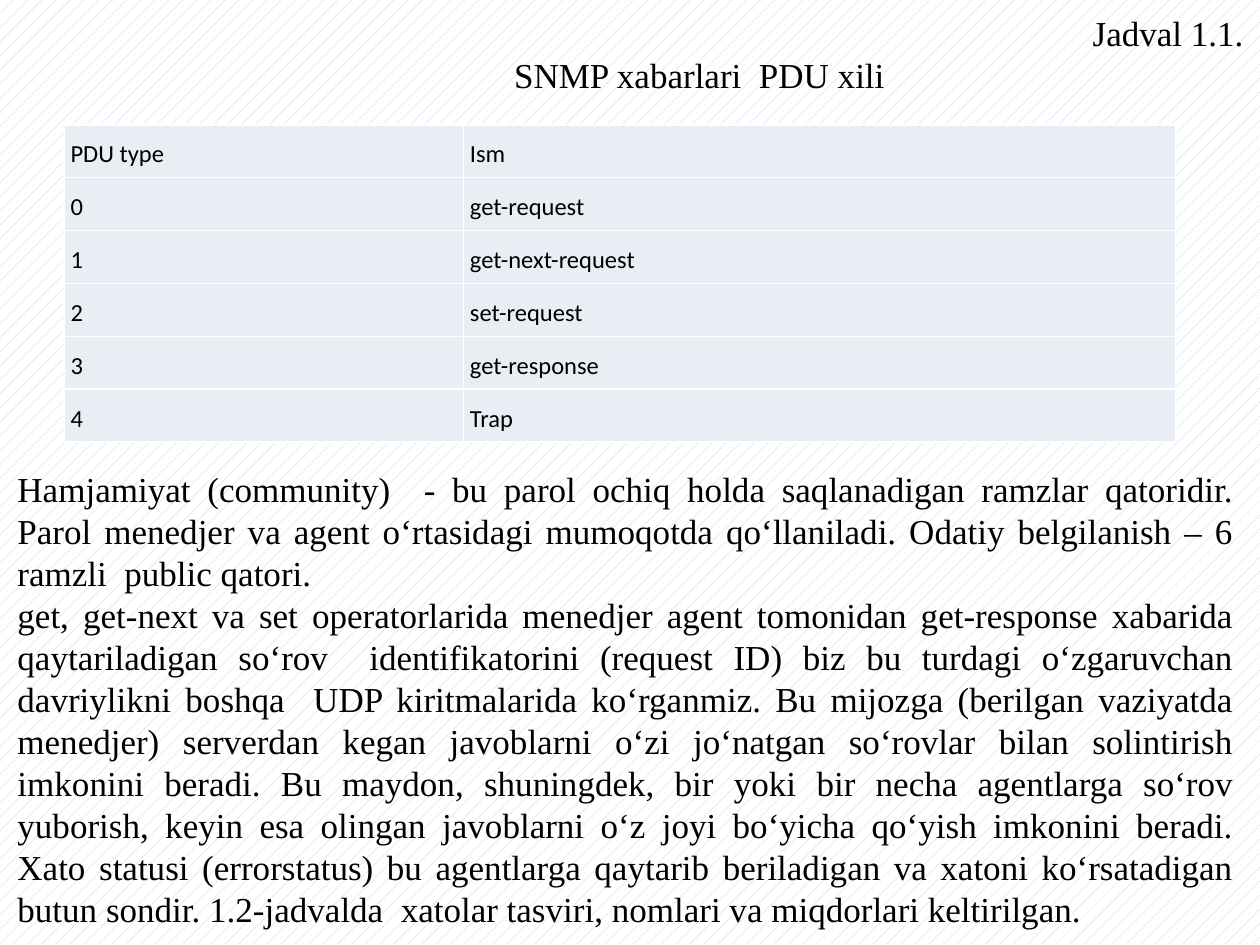
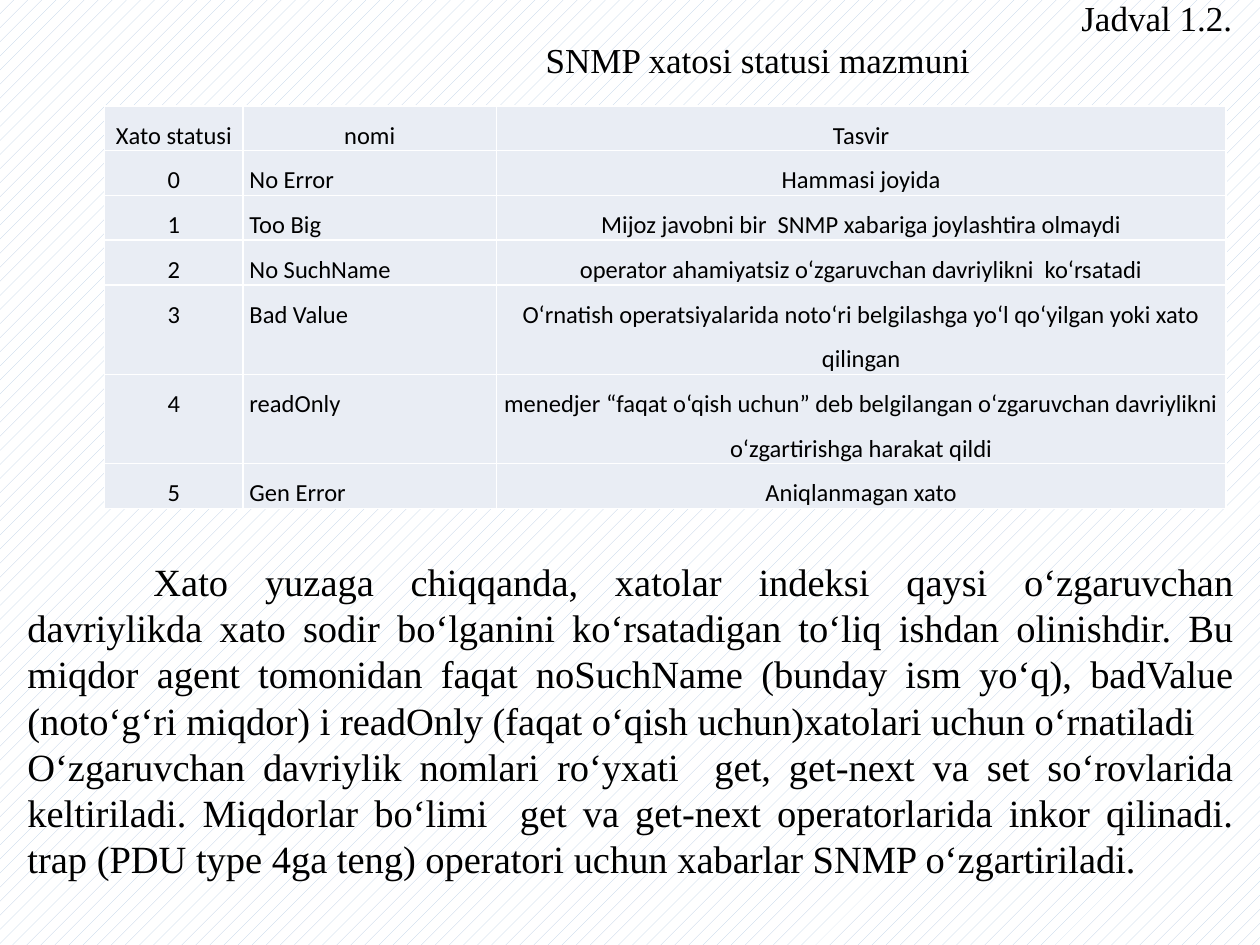
"""Two slides on SNMP: message types and error statuses."""
from dataclasses import dataclass

import pptx
import pptx.dml.color
import pptx.enum.dml
import pptx.enum.text
import pptx.util
from lxml import etree
from pptx.oxml.ns import qn

ALIGN = pptx.enum.text.PP_ALIGN
CELL = pptx.util.Inches(0.1)
GRID_COLUMNS, GRID_ROWS = 100, 75


@dataclass(frozen=True)
class Theme:
    """Colours, fonts and type sizes shared by the slides."""
    ink: str = "000000"
    paper: str = "FFFFFF"
    hatch: str = "B9CDE5"
    table_fill: str = "E9EDF4"
    prose_font: str = "Times New Roman"
    table_font: str = "Calibri"
    caption_size: int = 20
    table_size: int = 14
    table_leading: float = 1.5
    rule_width: int = 1


THEME = Theme()

PDU_TYPES = [
    ("PDU type", "Ism"),
    ("0", "get-request"),
    ("1", "get-next-request"),
    ("2", "set-request"),
    ("3", "get-response"),
    ("4", "Trap"),
]
ERROR_STATUSES = [
    ("Xato statusi", "nomi", "Tasvir"),
    ("0", "No Error", "Hammasi joyida"),
    ("1", "Too Big", "Mijoz javobni bir  SNMP xabariga joylashtira olmaydi"),
    ("2", "No SuchName", "operator ahamiyatsiz o‘zgaruvchan davriylikni  ko‘rsatadi"),
    ("3", "Bad Value", "O‘rnatish operatsiyalarida noto‘ri belgilashga yo‘l qo‘yilgan "
                       "yoki xato qilingan"),
    ("4", "readOnly", "menedjer “faqat o‘qish uchun” deb belgilangan o‘zgaruvchan "
                      "davriylikni o‘zgartirishga harakat qildi"),
    ("5", "Gen Error", "Aniqlanmagan xato"),
]
COMMUNITY_PROSE = [
    "Hamjamiyat (community)  - bu parol ochiq holda saqlanadigan ramzlar qatoridir. Parol "
    "menedjer va agent o‘rtasidagi mumoqotda qo‘llaniladi. Odatiy belgilanish – 6 ramzli  "
    "public qatori.",
    "get, get-next va set operatorlarida menedjer agent tomonidan get-response xabarida "
    "qaytariladigan so‘rov  identifikatorini (request ID) biz bu turdagi o‘zgaruvchan "
    "davriylikni boshqa  UDP kiritmalarida ko‘rganmiz. Bu mijozga (berilgan vaziyatda "
    "menedjer) serverdan kegan javoblarni o‘zi jo‘natgan so‘rovlar bilan solintirish "
    "imkonini beradi. Bu maydon, shuningdek, bir yoki bir necha agentlarga so‘rov yuborish, "
    "keyin esa olingan javoblarni o‘z joyi bo‘yicha qo‘yish imkonini beradi. Xato statusi "
    "(errorstatus) bu agentlarga qaytarib beriladigan va xatoni ko‘rsatadigan butun sondir. "
    "1.2-jadvalda  xatolar tasviri, nomlari va miqdorlari keltirilgan.",
]
ERROR_PROSE = [
    "Xato yuzaga chiqqanda, xatolar indeksi qaysi o‘zgaruvchan davriylikda xato sodir "
    "bo‘lganini ko‘rsatadigan to‘liq ishdan olinishdir. Bu miqdor agent tomonidan faqat "
    "noSuchName (bunday ism yo‘q), badValue (noto‘g‘ri miqdor) i readOnly (faqat o‘qish "
    "uchun)xatolari uchun o‘rnatiladi",
    "O‘zgaruvchan davriylik nomlari ro‘yxati  get, get-next va set so‘rovlarida "
    "keltiriladi. Miqdorlar bo‘limi  get va get-next operatorlarida inkor qilinadi. trap "
    "(PDU type 4ga teng) operatori uchun xabarlar SNMP o‘zgartiriladi.",
]


def rgb(code):
    """Turn a hex code into a colour."""
    return pptx.dml.color.RGBColor.from_string(code)


def cells(count):
    """Measure a number of grid cells."""
    return pptx.util.Emu(round(count * CELL))


def format_paragraph(paragraph, font, size, align, indent=0):
    """Set the type, alignment and first-line indent of a paragraph."""
    paragraph.alignment = align
    if indent:
        properties = paragraph._p.get_or_add_pPr()
        properties.set("marL", "0")
        properties.set("indent", str(cells(indent)))
    for run in paragraph.runs:
        run.font.name = font
        run.font.size = pptx.util.Pt(size)
        run.font.color.rgb = rgb(THEME.ink)


def add_hatched_slide(deck):
    """Add a title-only slide on the hatched background."""
    slide = deck.slides.add_slide(deck.slide_layouts[5])
    fill = slide.background.fill
    fill.patterned()
    fill.pattern = pptx.enum.dml.MSO_PATTERN.PERCENT_10
    fill.fore_color.rgb = rgb(THEME.hatch)
    fill.back_color.rgb = rgb(THEME.paper)
    return slide


def set_caption(slide, area, number, name, indent=0):
    """Put the table number at the right and its name on the next line."""
    caption = slide.shapes.title
    caption.left, caption.top, caption.width, caption.height = map(cells, area)
    frame = caption.text_frame
    frame.text = f"{number}\n{name}"
    frame.auto_size = pptx.enum.text.MSO_AUTO_SIZE.NONE
    frame.vertical_anchor = pptx.enum.text.MSO_ANCHOR.TOP
    for paragraph, align in zip(frame.paragraphs, (ALIGN.RIGHT, ALIGN.LEFT)):
        format_paragraph(paragraph, THEME.prose_font, THEME.caption_size, align, indent)


def add_prose(slide, area, passages, size, first_indent=0):
    """Add justified passages, the first one optionally indented."""
    frame = slide.shapes.add_textbox(*map(cells, area)).text_frame
    frame.word_wrap = True
    frame.text = "\n".join(passages)
    for order, paragraph in enumerate(frame.paragraphs):
        format_paragraph(paragraph, THEME.prose_font, size, ALIGN.JUSTIFY,
                         0 if order else first_indent)


def rule_cell(cell):
    """Draw the light rules around a table cell."""
    properties = cell._tc.get_or_add_tcPr()
    for side in ("a:lnL", "a:lnR", "a:lnT", "a:lnB"):
        rule = etree.SubElement(properties, qn(side), w=str(pptx.util.Pt(THEME.rule_width)))
        solid = etree.SubElement(rule, qn("a:solidFill"))
        etree.SubElement(solid, qn("a:srgbClr"), val=THEME.paper)


def fill_cell(cell, text, align):
    """Write and style one table cell."""
    rule_cell(cell)
    cell.fill.solid()
    cell.fill.fore_color.rgb = rgb(THEME.table_fill)
    cell.margin_left = cell.margin_right = cells(0.5)
    cell.margin_top = cell.margin_bottom = 0
    cell.text_frame.text = text
    paragraph = cell.text_frame.paragraphs[0]
    paragraph.line_spacing = THEME.table_leading
    format_paragraph(paragraph, THEME.table_font, THEME.table_size, align)


def add_code_table(slide, corner, widths, heights, entries, aligns, header_align):
    """Add a table of codes with one alignment per column."""
    area = (*corner, sum(widths), sum(heights))
    table = slide.shapes.add_table(len(entries), len(widths), *map(cells, area)).table
    table.first_row = table.horz_banding = False
    for column, width in zip(table.columns, widths):
        column.width = cells(width)
    for order, (row, height, entry) in enumerate(zip(table.rows, heights, entries)):
        row.height = cells(height)
        for cell, text, align in zip(row.cells, entry, aligns):
            fill_cell(cell, text, align if order else header_align)


def build_pdu_slide(deck):
    """Show the message types and explain the community string."""
    slide = add_hatched_slide(deck)
    set_caption(slide, (39.8, 0.4, 59.9, 7.7), "Jadval 1.1.", "SNMP xabarlari  PDU xili")
    add_code_table(slide, (5.1, 9.9), (31.7, 56.5), [4.2] * len(PDU_TYPES), PDU_TYPES,
                   [ALIGN.JUSTIFY] * 2, ALIGN.JUSTIFY)
    add_prose(slide, (0.4, 36.6, 98.5, 38), COMMUNITY_PROSE, 20)


def build_error_slide(deck):
    """Show the error statuses and explain the error index."""
    slide = add_hatched_slide(deck)
    line = 3.55
    heights = [line * lines for lines in (1, 1, 1, 1, 2, 2, 1)]
    add_code_table(slide, (8.3, 8.4), (11, 20.1, 57.9), heights, ERROR_STATUSES,
                   (ALIGN.CENTER, ALIGN.LEFT, ALIGN.CENTER), ALIGN.CENTER)
    set_caption(slide, (37.4, -0.8, 61.4, 11.1), "Jadval 1.2.",
                "SNMP xatosi statusi mazmuni", indent=4.9)
    add_prose(slide, (1.2, 43.8, 97.7, 26.9), ERROR_PROSE, 22, first_indent=10)


def main():
    """Build and save the deck."""
    deck = pptx.Presentation()
    deck.slide_width, deck.slide_height = cells(GRID_COLUMNS), cells(GRID_ROWS)
    build_pdu_slide(deck)
    build_error_slide(deck)
    deck.save("out.pptx")


if __name__ == "__main__":
    main()
